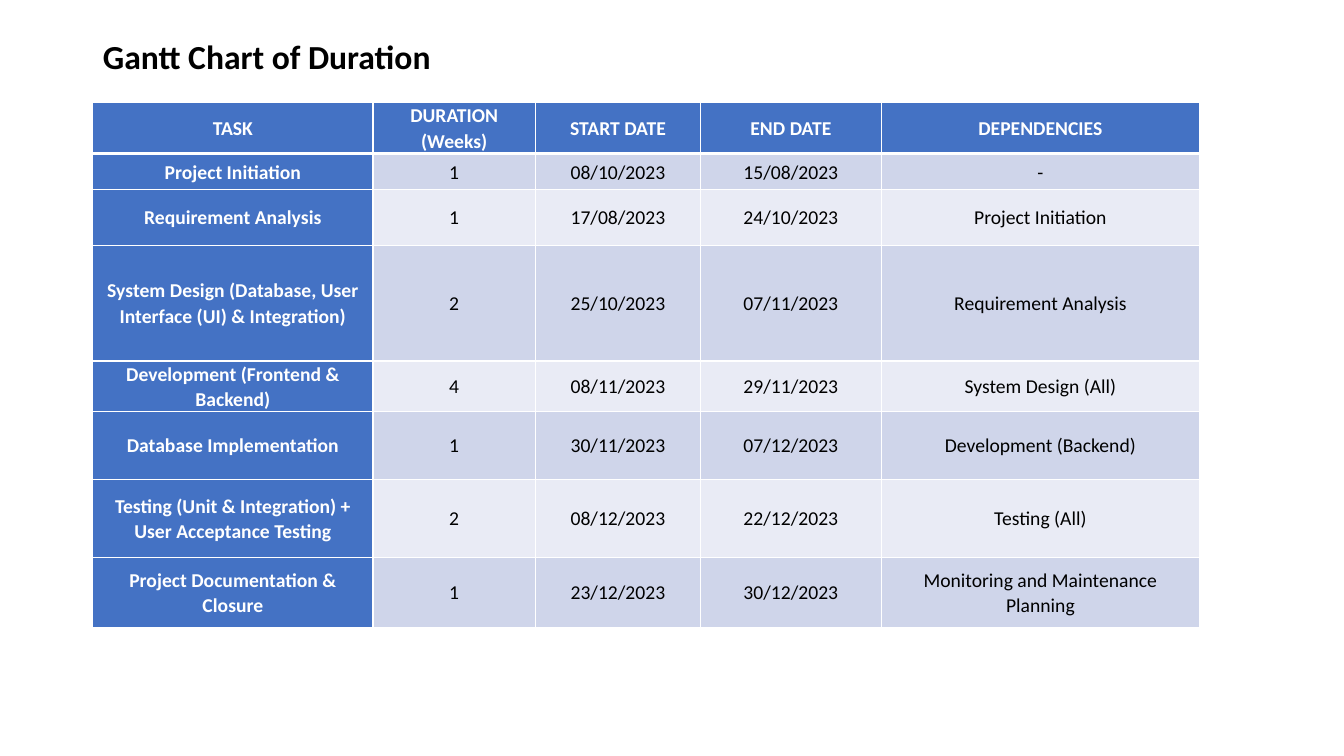
from lxml import etree
from pptx import Presentation
from pptx.dml.color import RGBColor
from pptx.enum.text import MSO_ANCHOR, MSO_AUTO_SIZE, PP_ALIGN
from pptx.oxml.ns import qn
from pptx.util import Inches, Pt

LEFT, CENTER = PP_ALIGN.LEFT, PP_ALIGN.CENTER
MIDDLE, BOTTOM = MSO_ANCHOR.MIDDLE, MSO_ANCHOR.BOTTOM
NO_AUTOFIT = MSO_AUTO_SIZE.NONE

BLACK = RGBColor(0x00, 0x00, 0x00)
WHITE = RGBColor(0xFF, 0xFF, 0xFF)
BLUE = RGBColor(0x44, 0x72, 0xC4)
BANDS = (RGBColor(0xCF, 0xD5, 0xEA), RGBColor(0xE9, 0xEB, 0xF5))

FONT = "Calibri"
COL_WIDTHS = (2.78, 1.61, 1.64, 1.79, 3.16)
ROW_HEIGHTS = (0.46, 0.36, 0.55, 1.15, 0.46, 0.67, 0.78, 0.69)
TASKS = (
    ("TASK", "DURATION\n(Weeks)", "START DATE", "END DATE", "DEPENDENCIES"),
    ("Project Initiation", "1", "08/10/2023", "15/08/2023", "-"),
    ("Requirement Analysis", "1", "17/08/2023", "24/10/2023",
     "Project Initiation"),
    ("System Design (Database, User Interface (UI) & Integration)", "2",
     "25/10/2023", "07/11/2023", "Requirement Analysis"),
    ("Development (Frontend & Backend)", "4", "08/11/2023", "29/11/2023",
     "System Design (All)"),
    ("Database Implementation", "1", "30/11/2023", "07/12/2023",
     "Development (Backend)"),
    ("Testing (Unit & Integration) + User Acceptance Testing", "2",
     "08/12/2023", "22/12/2023", "Testing (All)"),
    ("Project Documentation & Closure", "1", "23/12/2023", "30/12/2023",
     "Monitoring and Maintenance Planning"),
)


def set_attrs(obj, attrs):
    for name, value in attrs.items():
        setattr(obj, name, value)


def write_text(tf, text, size, color, bold, align, spacing):
    tf.text = text
    for p in tf.paragraphs:
        set_attrs(p, {"alignment": align, "line_spacing": spacing})
        for r in p.runs:
            set_attrs(r.font, {"name": FONT, "size": Pt(size), "bold": bold})
            r.font.color.rgb = color


def set_borders(cell, widths):
    """Add white lines; widths are points for left, right, top and bottom."""
    tc_pr = cell.fill._xPr
    for i, (side, width) in enumerate(zip("LRTB", widths)):
        ln = etree.Element(qn(f"a:ln{side}"), w=str(Pt(width)))
        fill = etree.SubElement(ln, qn("a:solidFill"))
        etree.SubElement(fill, qn("a:srgbClr"), val=str(WHITE))
        tc_pr.insert(i, ln)


def add_title(s, left, top, width, height):
    title = s.shapes.title
    set_attrs(title, {"left": Inches(left), "top": Inches(top),
                      "width": Inches(width), "height": Inches(height)})
    tf = title.text_frame
    set_attrs(tf, {"word_wrap": True, "auto_size": NO_AUTOFIT,
                   "vertical_anchor": BOTTOM})
    write_text(tf, "Gantt Chart of Duration", 24, BLACK, True, LEFT, 0.9)


def format_cell(cell, text, row, col):
    heading = row == 0 or col == 0
    set_attrs(cell, {"margin_left": Inches(0.06), "margin_right": Inches(0.06),
                     "margin_top": 0, "margin_bottom": 0,
                     "vertical_anchor": MIDDLE})
    cell.fill.solid()
    cell.fill.fore_color.rgb = BLUE if heading else BANDS[(row - 1) % 2]
    write_text(cell.text_frame, text, 14, WHITE if heading else BLACK,
               heading, CENTER, 1.06)
    # A thick line parts the header from the tasks
    set_borders(cell, (1, 1, 3 if row == 1 else 1, 3 if row == 0 else 1))


def add_schedule(s, left, top, width, height):
    table = s.shapes.add_table(len(TASKS), len(COL_WIDTHS), Inches(left),
                               Inches(top), Inches(width),
                               Inches(height)).table
    for column, w in zip(table.columns, COL_WIDTHS):
        column.width = Inches(w)
    for row, h in zip(table.rows, ROW_HEIGHTS):
        row.height = Inches(h)
    for i, task in enumerate(TASKS):
        for j, text in enumerate(task):
            format_cell(table.cell(i, j), text, i, j)


def main():
    prs = Presentation()
    prs.slide_width, prs.slide_height = Inches(13.33), Inches(7.5)
    s = prs.slides.add_slide(prs.slide_layouts[5])
    # Title
    add_title(s, 0.92, 0, 10.9, 0.81)
    # Schedule table
    add_schedule(s, 0.92, 1.02, sum(COL_WIDTHS), sum(ROW_HEIGHTS))
    prs.save("out.pptx")


if __name__ == "__main__":
    main()
